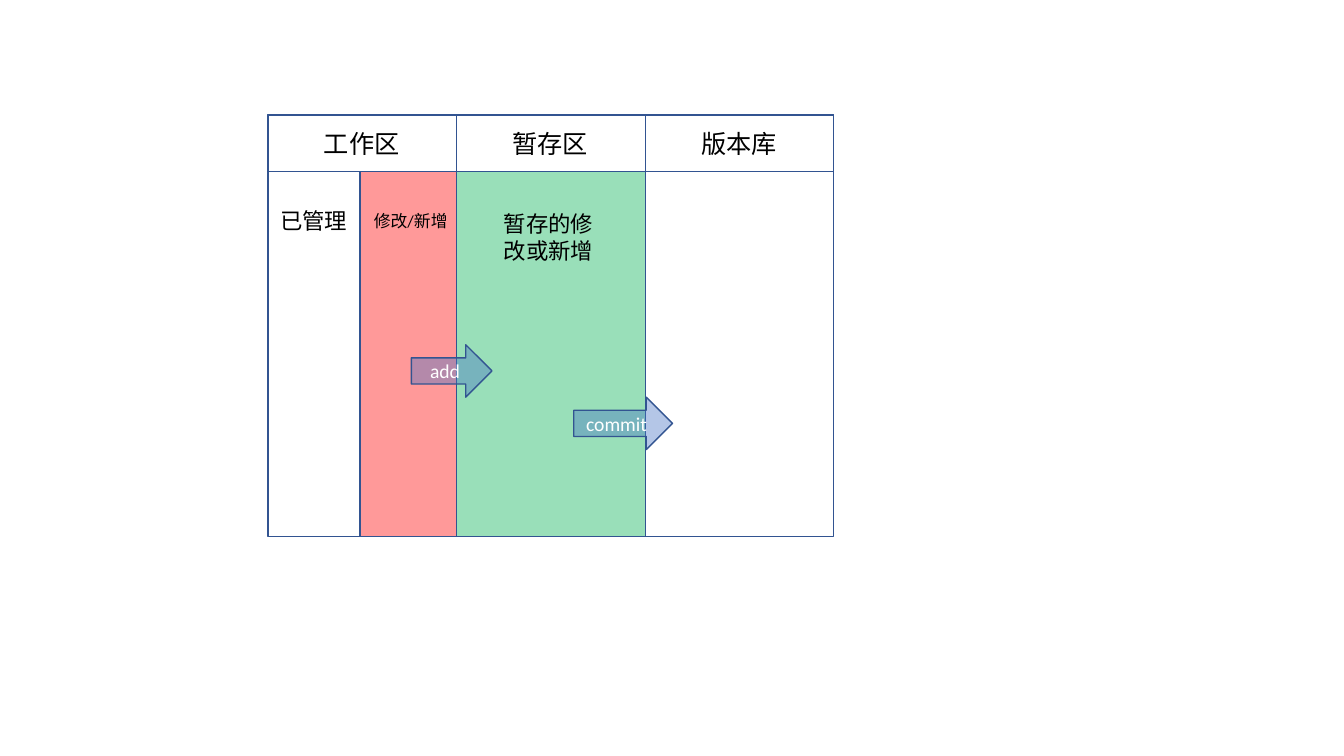
from pptx import Presentation
from pptx.dml.color import RGBColor
from pptx.enum.shapes import MSO_SHAPE as SHAPE
from pptx.enum.text import MSO_ANCHOR as ANCHOR, MSO_AUTO_SIZE as AUTO, PP_ALIGN as ALIGN
from pptx.oxml.ns import qn
from pptx.util import Inches, Pt
from lxml import etree

# Content
AREAS = ["工作区", "暂存区", "版本库"]
NOTES = [  # text, left, top, width, height, size, wrap
    ("已管理", 2.68, 2.01, 0.88, 0.37, "body", False),
    ("修改/新增", 3.61, 2.04, 0.94, 0.3, "small", True),
    ("暂存的修改或新增", 4.9, 2.04, 1.17, 0.64, "body", True),
]
COMMANDS = [("add", 4.08, 3.42, 0.8), ("commit", 5.69, 3.94, 0.98)]  # text, left, top, width

THEME = {
    "font": "Calibri", "line": "325491", "text": "000000", "label": "FFFFFF",
    "changed": "FF0000", "staged": "00B050", "arrow": "4472C4", "alpha": 40,
    "head": 18, "body": 16, "small": 12, "command": 14,
}

# Layout
LEFT, TOP, COL_W, HEIGHT, HEAD_H = 2.66, 1.14, 1.87, 4.18, 0.56
CHANGED_W, LABEL_W, LABEL_H, ARROW_H = 0.96, 0.96, 0.4, 0.52
BODY_TOP, BODY_H = TOP + HEAD_H, HEIGHT - HEAD_H
STAGED_LEFT = LEFT + COL_W

prs = Presentation()
prs.slide_width, prs.slide_height = Inches(13.33), Inches(7.5)
slide = prs.slides.add_slide(prs.slide_layouts[6])


def rgb(name):
    return RGBColor.from_string(THEME[name])


def style(p, size, color):
    p.font.name, p.font.size = THEME["font"], Pt(THEME[size])
    p.font.color.rgb = rgb(color)


def add_box(x, y, w, h, fill=None, kind=SHAPE.RECTANGLE):
    sp = slide.shapes.add_shape(kind, *map(Inches, (x, y, w, h)))
    sp.shadow.inherit = False
    sp.line.color.rgb, sp.line.width = rgb("line"), Pt(1)
    if fill:
        sp.fill.solid()
        sp.fill.fore_color.rgb = rgb(fill)
        clr = sp.fill._xPr.find(qn("a:solidFill"))[0]
        etree.SubElement(clr, qn("a:alpha")).set("val", str(THEME["alpha"] * 1000))
    else:
        sp.fill.background()
    return sp


def add_text(text, x, y, w, h, size, wrap=False):
    tf = slide.shapes.add_textbox(*map(Inches, (x, y, w, h))).text_frame
    tf.word_wrap, tf.auto_size = wrap, AUTO.SHAPE_TO_FIT_TEXT
    tf.text = text
    style(tf.paragraphs[0], size, "text")


# Area columns and header row
for i in range(len(AREAS)):
    add_box(LEFT + i * COL_W, TOP, COL_W, HEIGHT)
add_box(LEFT, TOP, COL_W * len(AREAS), HEAD_H)
for i, area in enumerate(AREAS):
    x = LEFT + i * COL_W + (COL_W - LABEL_W) / 2
    add_text(area, x, TOP + (HEAD_H - LABEL_H) / 2, LABEL_W, LABEL_H, "head")

# Changed and staged zones
add_box(STAGED_LEFT - CHANGED_W, BODY_TOP, CHANGED_W, BODY_H, "changed")
add_box(STAGED_LEFT, BODY_TOP, COL_W, BODY_H, "staged")

# Command arrows
for command, x, y, w in COMMANDS:
    tf = add_box(x, y, w, ARROW_H, "arrow", SHAPE.RIGHT_ARROW).text_frame
    tf.vertical_anchor = ANCHOR.MIDDLE
    tf.text = command
    p = tf.paragraphs[0]
    p.alignment = ALIGN.CENTER
    style(p, "command", "label")

# Zone notes
for note in NOTES:
    add_text(*note)

prs.save("out.pptx")
